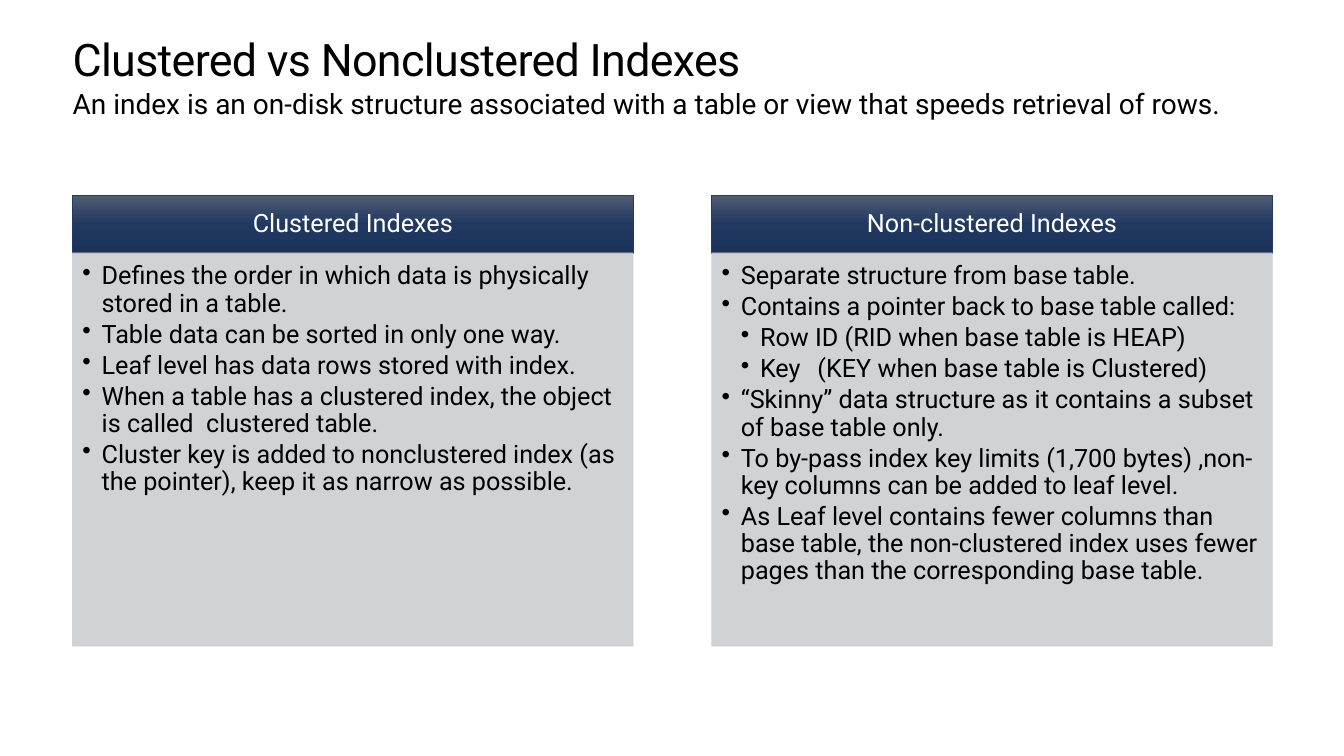
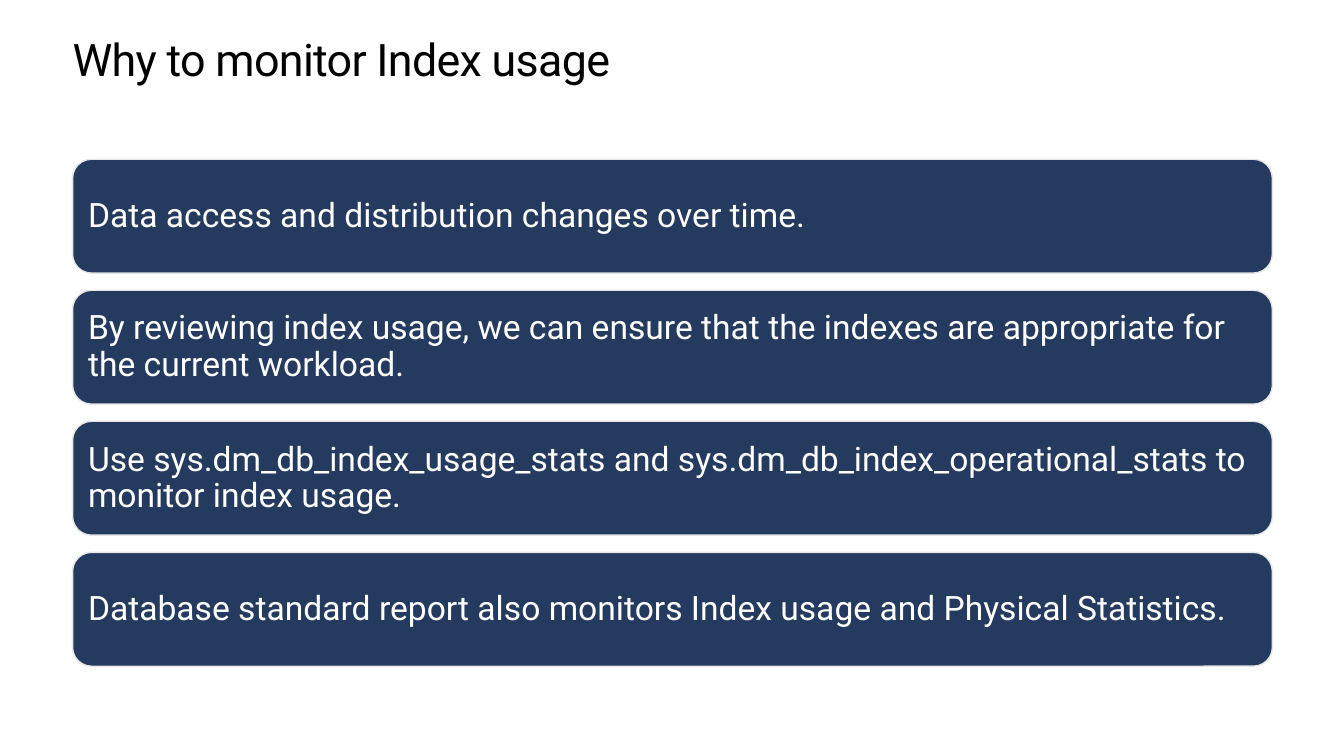
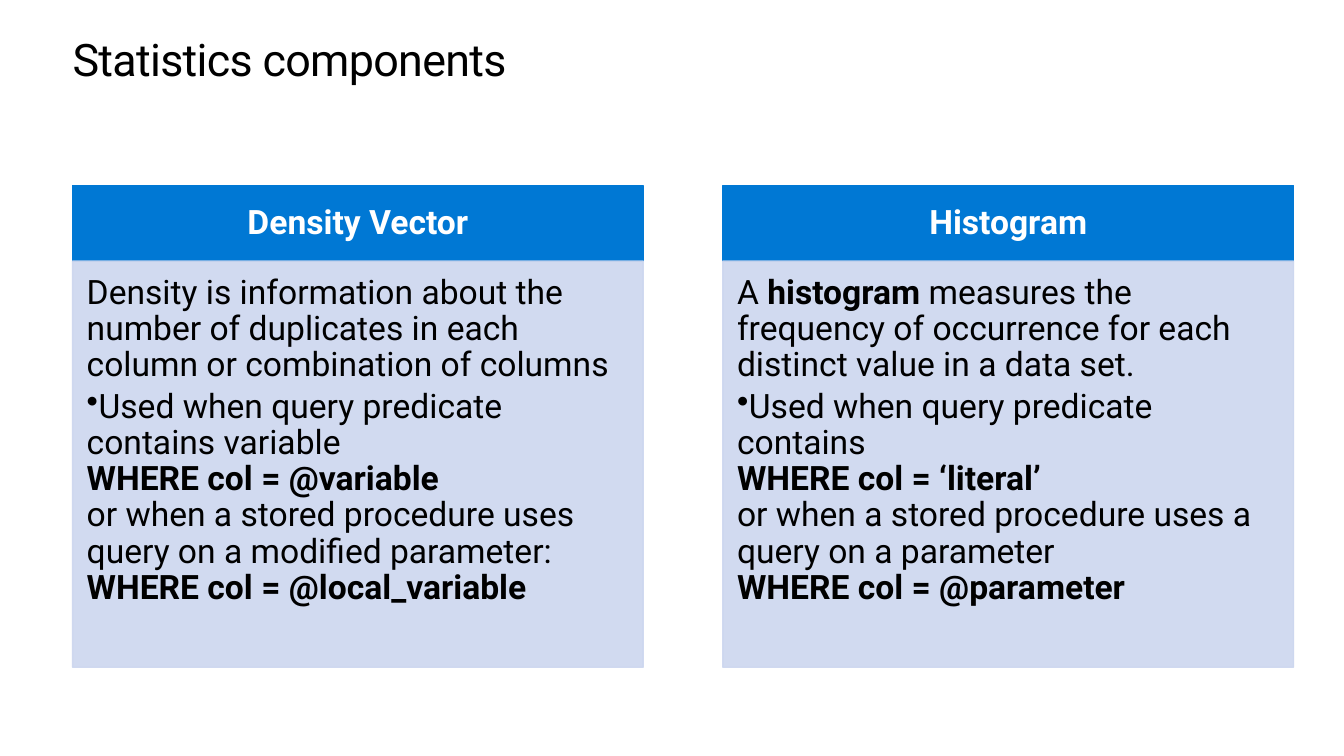
from copy import deepcopy
from dataclasses import dataclass

from lxml import etree
from pptx import Presentation
from pptx import util as u
from pptx.dml import color
from pptx.enum import shapes, text
from pptx.oxml import ns

FONT = "Roboto"
BLACK, WHITE, NAVY = "000000", "FFFFFF", "243A5E"
LEFT, WIDTH = 0.72, 11.9


@dataclass
class Item:
    words: str            # **bold**, with \n for a line break
    bullet: bool = True
    level: int = 1
    tab: float = 0


@dataclass
class PanelStyle:
    head_fill: object     # one colour, or a list of (position, colour)
    head_line: str
    body_fill: str
    line_width: float
    size: int
    head_bold: bool
    head_height: float
    head_insets: tuple
    body_insets: tuple
    hang: float           # hanging indent of each bullet level


INDEX_PANEL = PanelStyle([(0, "505B73"), (0.5, "213961"), (1, "1B3259")], NAVY, "CDCED2", 0.5,
                         18, False, 0.57, (0.14, 0.08, 0.14, 0.08), (0.1, 0.1, 0.14, 0.16), 0.19)
STATISTICS_PANEL = PanelStyle("0078D4", "0078D4", "CCD6EF", 1,
                              24, True, 0.75, (0.19, 0.11, 0.19, 0.11), (0.14, 0.14, 0.19, 0.21), 0)


def rgb(value):
    return color.RGBColor.from_string(value)


def child(parent, tag, **attributes):
    return etree.SubElement(parent, ns.qn(tag), attributes)


def set_frame(box, insets, anchor=text.MSO_ANCHOR.TOP):
    frame = box.text_frame
    frame.word_wrap = True
    frame.vertical_anchor = anchor
    frame.margin_left, frame.margin_top, frame.margin_right, frame.margin_bottom = map(u.Inches, insets)
    return frame


def write(para, words, size, ink, bold=False, align=text.PP_ALIGN.LEFT, leading=0.9, after=0):
    """Fill a paragraph, reading **bold** marks and line breaks."""
    para.alignment = align
    para.line_spacing = leading
    para.space_after = u.Pt(after)
    for part_number, part in enumerate(words.split("**")):
        for line_number, line in enumerate(part.split("\n")):
            if line_number:
                para.add_line_break()
            if line:
                span = para.add_run()
                span.text = line
                span.font.name, span.font.size = FONT, u.Pt(size)
                span.font.bold = bold or part_number % 2 == 1
                span.font.color.rgb = rgb(ink)


def add_block(page, kind, left, top, width, height, fill, line, line_width, opacity=100):
    block = page.shapes.add_shape(kind, *map(u.Inches, (left, top, width, height)))
    block.shadow.inherit = False
    if isinstance(fill, str):
        block.fill.solid()
        block.fill.fore_color.rgb = rgb(fill)
    else:
        block.fill.gradient()
        block.fill.gradient_angle = 270
        stop_list = block._element.spPr.find(".//" + ns.qn("a:gsLst"))
        stop_list.append(deepcopy(stop_list[-1]))
        for stop, (position, shade) in zip(block.fill.gradient_stops, fill):
            stop.position, stop.color.rgb = position, rgb(shade)
    block.line.color.rgb = rgb(line)
    block.line.width = u.Pt(line_width)
    if opacity < 100:
        for shade in block._element.spPr.iter(ns.qn("a:srgbClr")):
            child(shade, "a:alpha", val=str(opacity * 1000))
    return block


def add_heading(page, title, subtitle=None):
    def line_box(top):
        box = page.shapes.add_textbox(*map(u.Inches, (LEFT, top, WIDTH, 0.5)))
        return set_frame(box, (0, 0, 0, 0)).paragraphs[0]

    para = line_box(0.35)
    write(para, title, 32, BLACK, leading=u.Pt(36.2))
    for span in para.runs:
        span.font._element.set("spc", "-50")
    if subtitle:
        write(line_box(0.86), subtitle, 20, BLACK, leading=1)


def add_panel(page, left, top, width, height, style, heading, items):
    """A header bar above a tinted body of text."""
    rectangle = shapes.MSO_SHAPE.RECTANGLE
    head = add_block(page, rectangle, left, top, width, style.head_height,
                     style.head_fill, style.head_line, style.line_width)
    frame = set_frame(head, style.head_insets, text.MSO_ANCHOR.MIDDLE)
    write(frame.paragraphs[0], heading, style.size, WHITE, style.head_bold, text.PP_ALIGN.CENTER)

    body = add_block(page, rectangle, left, top + style.head_height, width, height - style.head_height,
                     style.body_fill, style.body_fill, style.line_width, 90)
    frame = set_frame(body, style.body_insets)
    for number, item in enumerate(items):
        para = frame.add_paragraph() if number else frame.paragraphs[0]
        if item.bullet:
            props = para._p.get_or_add_pPr()
            props.set("marL", str(u.Inches(style.hang * item.level)))
            props.set("indent", str(u.Inches(-style.hang)))
            child(props, "a:buChar", char="•")
            if item.tab:
                tabs = child(props, "a:tabLst")
                child(tabs, "a:tab", pos=str(u.Inches(item.tab)), algn="l")
        write(para, item.words, style.size, BLACK, after=round(style.size * 0.15, 1))


def add_panel_pair(page, left, top, width, height, gap, style, panels):
    panel_width = (width - gap) / 2
    for number, (heading, items) in enumerate(panels):
        add_panel(page, left + number * (panel_width + gap), top, panel_width, height,
                  style, heading, items)


def add_bars(page, left, top, width, height, step, lines):
    """Rounded bars stacked at an equal step."""
    for number, line in enumerate(lines):
        bar = add_block(page, shapes.MSO_SHAPE.ROUNDED_RECTANGLE, left, top + number * step,
                        width, height, NAVY, "E6E6E6", 1)
        frame = set_frame(bar, (0.1, 0.1, 0.1, 0.1), text.MSO_ANCHOR.MIDDLE)
        write(frame.paragraphs[0], line, 24, WHITE)


def build_index_types(page):
    add_heading(page, "Clustered vs Nonclustered Indexes",
                "An index is an on-disk structure associated with a table or view "
                "that speeds retrieval of rows.")
    clustered = [
        Item("Defines the order in which data is physically stored in a table."),
        Item("Table data can be sorted in only one way."),
        Item("Leaf level has data rows stored with index."),
        Item("When a table has a clustered index, the object is called  clustered table."),
        Item("Cluster key is added to nonclustered index (as the pointer), "
             "keep it as narrow as possible."),
    ]
    nonclustered = [
        Item("Separate structure from base table."),
        Item("Contains a pointer back to base table called:"),
        Item("Row ID (RID when base table is HEAP)", level=2),
        Item("Key\t(KEY when base table is Clustered)", level=2, tab=0.95),
        Item("“Skinny” data structure as it contains a subset of base table only."),
        Item("To by-pass index key limits (1,700 bytes) ,non-key columns can be added to leaf level."),
        Item("As Leaf level contains fewer columns than base table, the non-clustered index "
             "uses fewer pages than the corresponding base table."),
    ]
    add_panel_pair(page, LEFT, 1.94, WIDTH, 4.47, 0.78, INDEX_PANEL,
                   [("Clustered Indexes", clustered), ("Non-clustered Indexes", nonclustered)])


def build_monitoring(page):
    add_heading(page, "Why to monitor Index usage")
    add_bars(page, LEFT, 1.58, WIDTH, 1.13, 1.3, [
        "Data access and distribution changes over time.",
        "By reviewing index usage, we can ensure that the indexes are appropriate "
        "for the current workload.",
        "Use sys.dm_db_index_usage_stats and sys.dm_db_index_operational_stats "
        "to monitor index usage.",
        "Database standard report also monitors Index usage and Physical Statistics.",
    ])


def build_statistics(page):
    add_heading(page, "Statistics components")
    density = [
        Item("Density is information about the number of duplicates in each column "
             "or combination of columns", bullet=False),
        Item("Used when query predicate contains variable\n**WHERE col = @variable**\n"
             "or when a stored procedure uses query on a modified parameter:\n"
             "**WHERE col = @local_variable**"),
    ]
    histogram = [
        Item("A **histogram** measures the frequency of occurrence for each distinct value "
             "in a data set.", bullet=False),
        Item("Used when query predicate contains\n**WHERE col = ‘literal’**\n"
             "or when a stored procedure uses a query on a parameter\n"
             "**WHERE col = @parameter**"),
    ]
    add_panel_pair(page, LEFT, 1.84, 12.11, 4.78, 0.79, STATISTICS_PANEL,
                   [("Density Vector", density), ("Histogram", histogram)])


def main():
    deck = Presentation()
    deck.slide_width, deck.slide_height = u.Inches(13.33), u.Inches(7.5)
    for build in (build_index_types, build_monitoring, build_statistics):
        build(deck.slides.add_slide(deck.slide_layouts[6]))
    deck.save("out.pptx")


if __name__ == "__main__":
    main()
